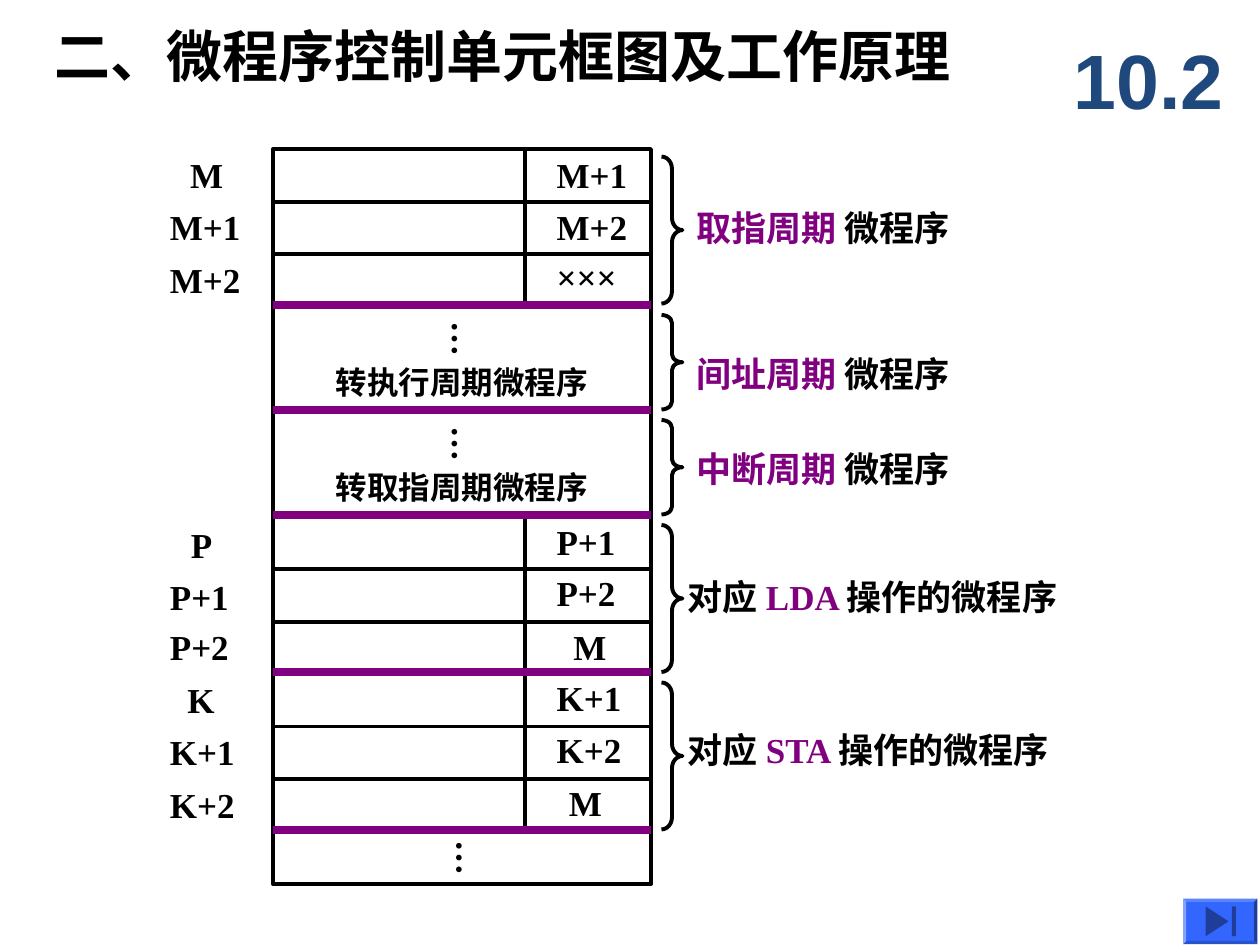
from pptx import Presentation
from pptx.dml.color import RGBColor
from pptx.enum.shapes import MSO_CONNECTOR, MSO_SHAPE
from pptx.enum.text import MSO_ANCHOR, MSO_AUTO_SIZE, PP_ALIGN
from pptx.oxml.ns import qn
from pptx.util import Pt
from lxml.etree import SubElement

SERIF = "Times New Roman"
BLACK = "000000"
PURPLE = "800080"
ROW = 30
EMS = {"M": 0.94, "P": 0.61, "K": 0.78, "+": 0.57, "×": 0.57, "1": 0.5, "2": 0.5}


def color(code):
    return RGBColor.from_string(code)


def style(run, size, code=BLACK, face=SERIF):
    font = run.font
    font.size = Pt(size)
    font.bold = True
    font.name = face
    font.color.rgb = color(code)


def text(slide, box, parts, size=20, align=PP_ALIGN.LEFT, wrap=False, face=SERIF):
    shape = slide.shapes.add_textbox(*map(Pt, box))
    frame = shape.text_frame
    frame.word_wrap = wrap
    para = frame.paragraphs[0]
    para.alignment = align
    for words, code in parts:
        run = para.add_run()
        run.text = words
        style(run, size, code, face)
    return shape


def line(slide, start, end, code=BLACK, width=2.25):
    link = slide.shapes.add_connector(MSO_CONNECTOR.STRAIGHT, *map(Pt, start + end))
    link.line.color.rgb = color(code)
    link.line.width = Pt(width)
    SubElement(link._element.spPr, qn("a:effectLst"))


def outline(slide, kind, box):
    shape = slide.shapes.add_shape(kind, *map(Pt, box))
    shape.shadow.inherit = False
    shape.fill.background()
    shape.line.color.rgb = color(BLACK)
    shape.line.width = Pt(2.25)
    return shape


def paint(shape, code):
    shape.shadow.inherit = False
    shape.fill.solid()
    shape.fill.fore_color.rgb = color(code)
    shape.line.fill.background()


def heading(slide, box, words):
    title = slide.shapes.title
    title.left, title.top, title.width, title.height = map(Pt, box)
    frame = title.text_frame
    frame.text = words
    frame.auto_size = MSO_AUTO_SIZE.NONE
    frame.vertical_anchor = MSO_ANCHOR.TOP
    para = frame.paragraphs[0]
    para.alignment = PP_ALIGN.LEFT
    style(para.runs[0], 32)


def number(slide, box, words):
    shape = text(slide, box, [(words, "1F497D")], 44, wrap=True, face="Arial")
    shape.text_frame.vertical_anchor = MSO_ANCHOR.MIDDLE


def memory(slide, left, top, width):
    right = left + width
    split = left + 144
    for row in (0, 1, 2, 7, 8, 9, 10, 11, 12, 13):
        outline(slide, MSO_SHAPE.RECTANGLE, (left, top + row * ROW, width, ROW))
    for side in (left, right):
        line(slide, (side, top + 3 * ROW), (side, top + 7 * ROW))
    line(slide, (left, top + 5 * ROW), (right, top + 5 * ROW))
    line(slide, (split, top), (split, top + 3 * ROW))
    line(slide, (split, top + 7 * ROW), (split, top + 13 * ROW))
    for row in (3, 5, 7, 10, 13):
        level = top + row * ROW - 1
        line(slide, (left, level), (right, level), PURPLE, 4.5)


def marks(slide, cells):
    for words, left, top in cells:
        width = 14.4 + 20 * sum(EMS[sign] for sign in words)
        text(slide, (left, top, width, 31.5), [(words, BLACK)])


def dots(slide, left, top):
    shape = text(slide, (left, top, 38, 27.5), [("…", BLACK)])
    frame = shape.text_frame
    frame.margin_left = frame.margin_right = Pt(3.6)
    frame.margin_top = frame.margin_bottom = Pt(7.2)
    frame._txBody.bodyPr.set("vert", "eaVert")


def jump(slide, left, top, width, words):
    dots(slide, left + 88, top - 3.5)
    text(slide, (left, top + 24, width, 29), [(words, BLACK)], 18,
         PP_ALIGN.CENTER, True)


def brace(slide, left, top, height):
    shape = outline(slide, MSO_SHAPE.RIGHT_BRACE, (left, top, 12, height))
    shape.adjustments[0] = height / 12 / 12


def cycle(slide, left, top, words):
    text(slide, (left, top, 159, 31.5), [(words + " ", PURPLE), ("微程序", BLACK)])


def action(slide, left, top, width, code):
    parts = [("对应 ", BLACK), (code + " ", PURPLE), ("操作的微程序", BLACK)]
    text(slide, (left, top, width, 31.5), parts)


def button(slide, left, top, width, height):
    base = slide.shapes.add_shape(MSO_SHAPE.BEVEL, *map(Pt, (left, top, width, height)))
    base.adjustments[0] = 0.07
    paint(base, "3366FF")
    mid = top + height / 2
    pen = slide.shapes.build_freeform(Pt(left + 13), Pt(mid - 8.5))
    pen.add_line_segments([(Pt(left + 26), Pt(mid)), (Pt(left + 13), Pt(mid + 8.5))])
    bar = slide.shapes.add_shape(
        MSO_SHAPE.RECTANGLE, *map(Pt, (left + 28, mid - 8.5, 2.2, 17)))
    for sign in (pen.convert_to_shape(), bar):
        paint(sign, "1F3D99")


def main():
    deck = Presentation()
    deck.slide_width, deck.slide_height = Pt(720), Pt(540)
    slide = deck.slides.add_slide(deck.slide_layouts[5])
    heading(slide, (24, 8.5, 576, 46), "二、微程序控制单元框图及工作原理")
    number(slide, (606.5, 12, 113.5, 66), "10.2")
    memory(slide, 156, 85.2, 216)
    marks(slide, [
        ("M", 101.5, 84), ("M+1", 90, 114), ("M+2", 90, 144),
        ("P", 102, 295.5), ("P+1", 90, 325.5), ("P+2", 90, 354),
        ("K", 100, 384), ("K+1", 90, 414), ("K+2", 90, 444),
        ("M+1", 311, 84), ("M+2", 311, 114), ("×××", 311, 142.5),
        ("P+1", 311, 294), ("P+2", 311, 323), ("M", 320.5, 354),
        ("K+1", 311, 383), ("K+2", 311, 412.5), ("M", 318, 443)])
    jump(slide, 156, 180, 216, "转执行周期微程序")
    jump(slide, 156, 240, 216, "转取指周期微程序")
    dots(slide, 246.5, 473)
    for top, height in ((89.5, 84), (180, 54), (240, 54), (300, 84), (390, 84)):
        brace(slide, 378, top, height)
    for top, words in ((114.5, "取指周期"), (198, "间址周期"), (252, "中断周期")):
        cycle(slide, 391, top, words)
    action(slide, 386, 325.5, 236, "LDA")
    action(slide, 386, 412.5, 232.5, "STA")
    button(slide, 676, 513.5, 42.5, 26)
    deck.save("out.pptx")


if __name__ == "__main__":
    main()
